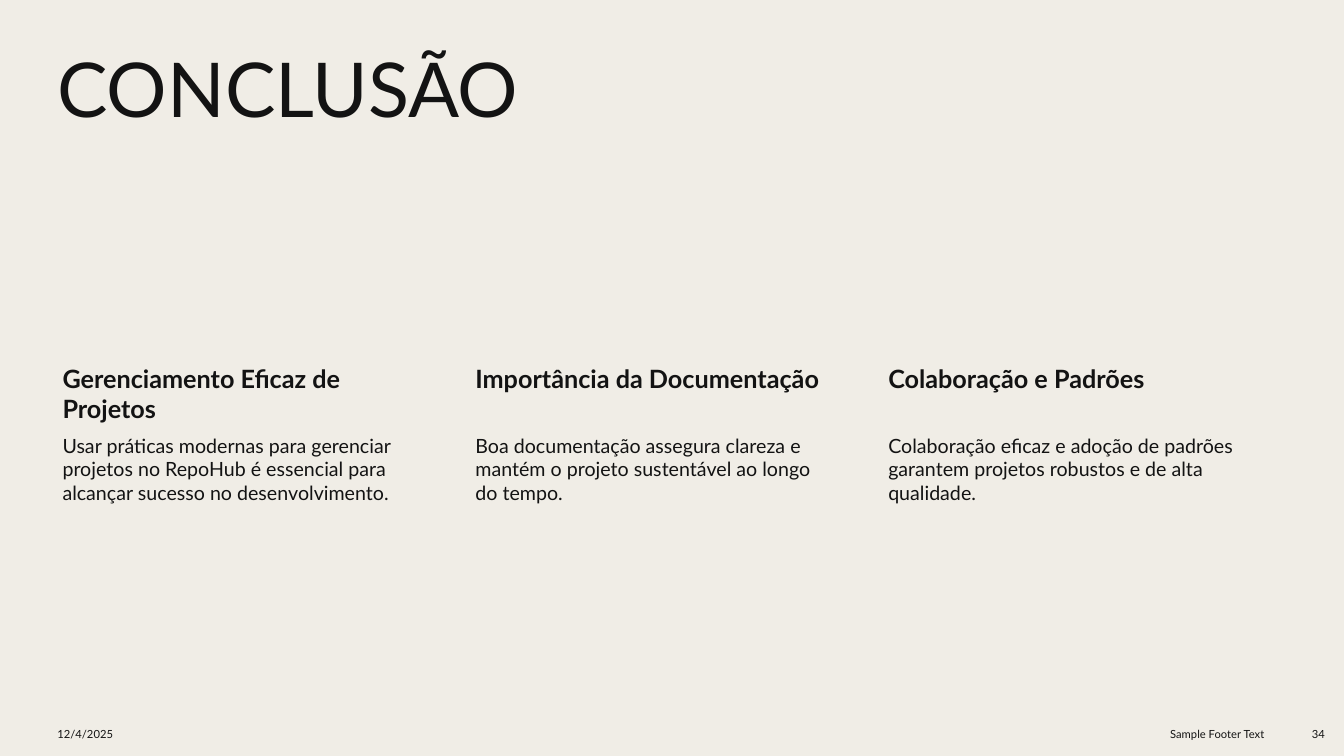
from dataclasses import dataclass

from pptx import Presentation
from pptx.dml.color import RGBColor
from pptx.enum.text import MSO_ANCHOR, MSO_AUTO_SIZE, PP_ALIGN
from pptx.util import Inches, Pt


@dataclass(frozen=True)
class Theme:
    font: str = "Lato"
    ink: RGBColor = RGBColor(0x13, 0x13, 0x13)
    paper: RGBColor = RGBColor(0xF0, 0xED, 0xE6)
    title: int = 54
    heading: int = 18
    body: int = 14
    footer: int = 8


theme = Theme()


def write(box, text, *, size, bold=False, align=PP_ALIGN.LEFT,
          anchor=MSO_ANCHOR.TOP, insets=(0.1, 0.05, 0.1, 0.05), line_spacing=1.0):
    frame = box.text_frame
    frame.word_wrap = True
    frame.auto_size = MSO_AUTO_SIZE.NONE
    frame.vertical_anchor = anchor
    frame.margin_left, frame.margin_top, frame.margin_right, frame.margin_bottom = map(Inches, insets)
    para = frame.paragraphs[0]
    para.alignment = align
    para.line_spacing = line_spacing
    span = para.add_run()
    span.text = text
    span.font.name = theme.font
    span.font.size = Pt(size)
    span.font.bold = bold
    span.font.color.rgb = theme.ink


# Deck and page
deck = Presentation()
deck.slide_width, deck.slide_height = Inches(13.33), Inches(7.5)
page = deck.slides.add_slide(deck.slide_layouts.get_by_name("Title Only"))
page.background.fill.solid()
page.background.fill.fore_color.rgb = theme.paper

# Title
title = page.shapes.title
title.left, title.top = Inches(0.47), Inches(0.47)
title.width, title.height = Inches(11.91), Inches(1.78)
write(title, "CONCLUSÃO", size=theme.title, line_spacing=0.9)

# Three columns, each a heading above its text
columns = [
    ("Gerenciamento Eficaz de Projetos",
     "Usar práticas modernas para gerenciar projetos no RepoHub é essencial "
     "para alcançar sucesso no desenvolvimento."),
    ("Importância da Documentação",
     "Boa documentação assegura clareza e mantém o projeto sustentável ao longo do tempo."),
    ("Colaboração e Padrões",
     "Colaboração eficaz e adoção de padrões garantem projetos robustos e de alta qualidade."),
]
column_left, column_step, column_width = 0.47, 4.095, 3.72
for index, (heading, body) in enumerate(columns):
    left = Inches(column_left + index * column_step)
    heading_box = page.shapes.add_textbox(left, Inches(3.57), Inches(column_width), Inches(0.71))
    write(heading_box, heading, size=theme.heading, bold=True, insets=(0.15, 0.03, 0.03, 0.03))
    body_box = page.shapes.add_textbox(left, Inches(4.28), Inches(column_width), Inches(2.39))
    write(body_box, body, size=theme.body, insets=(0.15, 0.02, 0.02, 0.02))

# Footer: date, text and page number
footers = [
    ("12/4/2025", 0.47, 3.11, PP_ALIGN.LEFT),
    ("Sample Footer Text", 9.73, 2.91, PP_ALIGN.RIGHT),
    ("34", 12.74, 0.5, PP_ALIGN.RIGHT),
]
for text, left, width, align in footers:
    footer_box = page.shapes.add_textbox(Inches(left), Inches(7.1), Inches(width), Inches(0.37))
    write(footer_box, text, size=theme.footer, align=align, anchor=MSO_ANCHOR.MIDDLE)

deck.save("out.pptx")
